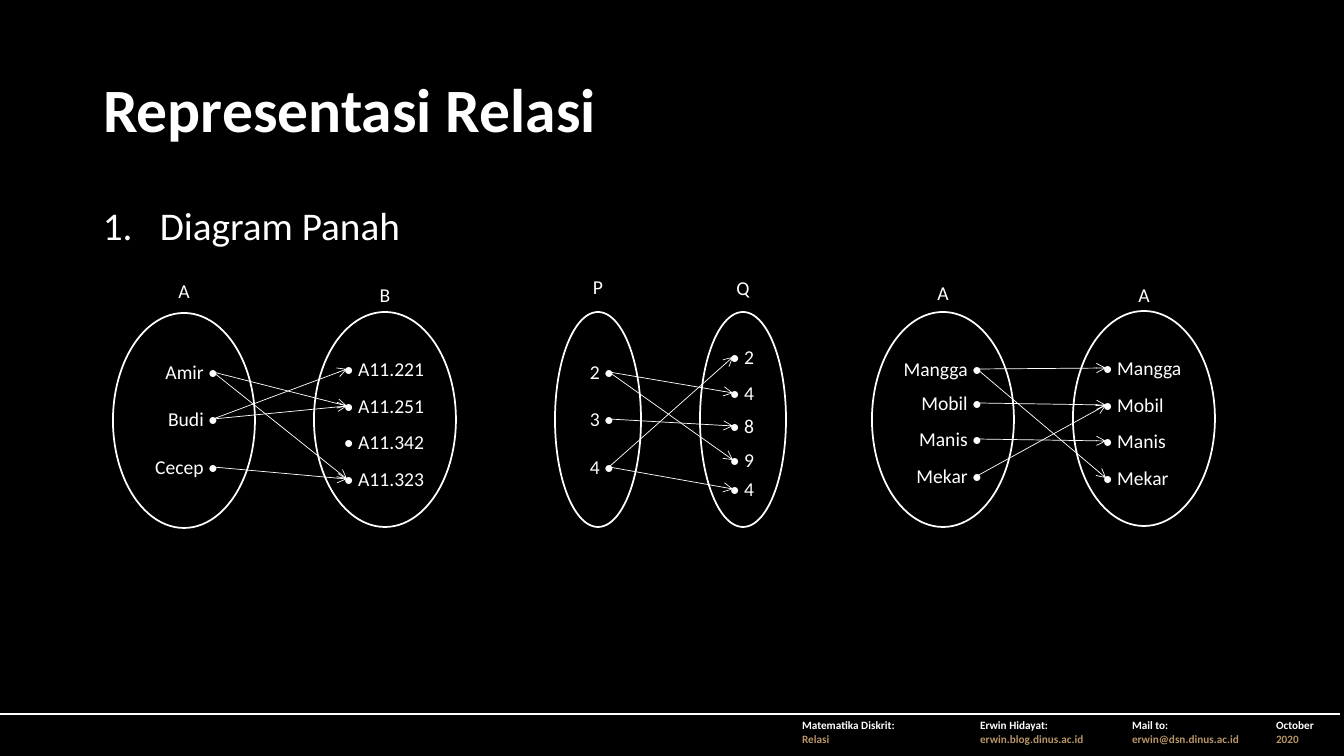
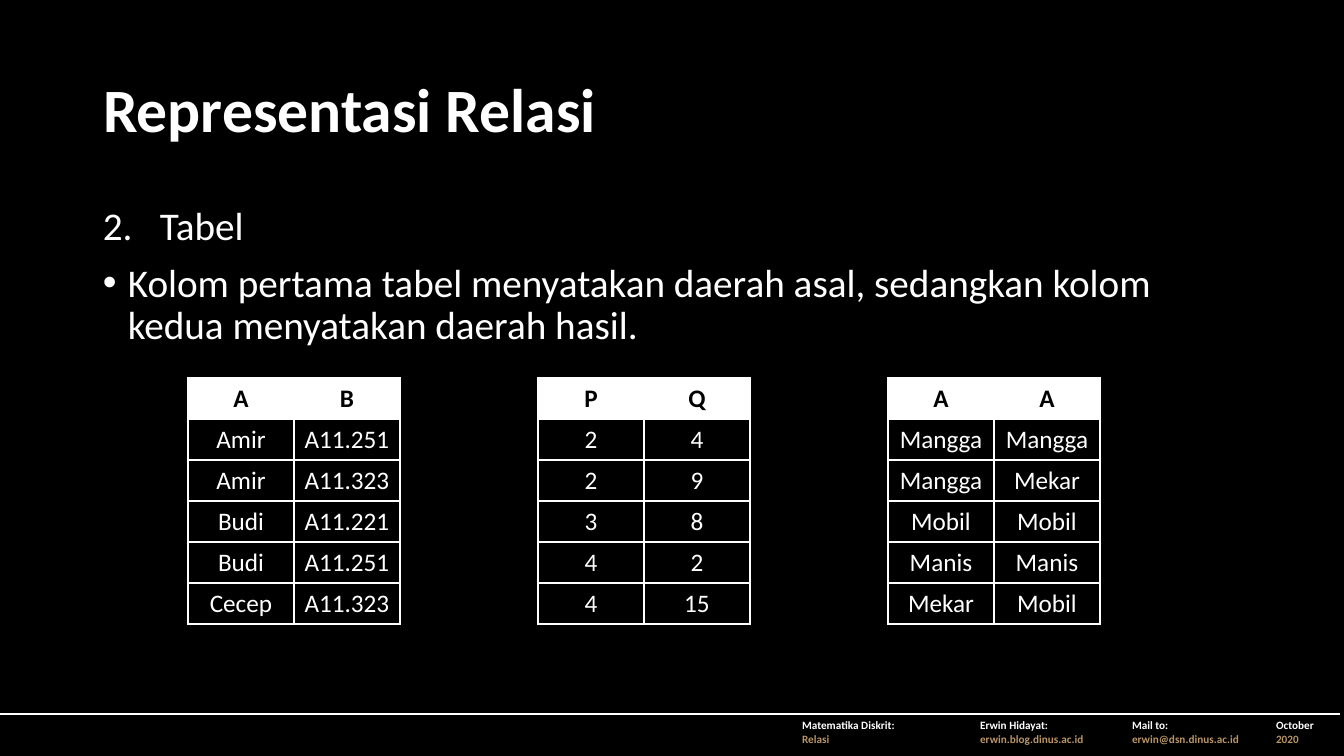
from dataclasses import dataclass
from typing import Any

from lxml.etree import SubElement
from pptx import Presentation
from pptx.dml.color import RGBColor
from pptx.enum.shapes import MSO_CONNECTOR, MSO_SHAPE
from pptx.enum.text import MSO_ANCHOR, MSO_AUTO_SIZE, PP_ALIGN
from pptx.oxml.ns import qn
from pptx.util import Emu, Pt

WIDTH, HEIGHT = 1344, 756
SCALE = 12192000 / WIDTH
COLORS = {"black": "000000", "white": "FFFFFF", "gold": "BA9667"}
FONT = "Calibri"
PLAIN_TABLE_STYLE = "{2D5ABB26-0587-4C30-8999-92F81FD0307C}"
TITLE = "Representasi Relasi"
FOOTER_COLUMNS = (792, 178, 152, 144, 74)
FOOTER = (
    ("Matematika Diskrit:", "Relasi"),
    ("Erwin Hidayat:", "erwin.blog.dinus.ac.id"),
    ("Mail to:", "erwin@dsn.dinus.ac.id"),
    ("October", "2020"),
)
ITEM_HEIGHT = 34
LABEL_WIDTH = 46
OVAL_HEIGHT = 215
TABLE_LEFT, TABLE_TOP, TABLE_PITCH = 188, 378, 350
CELL_WIDTH, CELL_HEIGHT = 106, 41


@dataclass(frozen=True)
class Domain:
    label: str
    label_top: int
    oval_left: int
    oval_top: int
    items_left: int
    items_width: int
    items: tuple[tuple[str, int], ...]


@dataclass(frozen=True)
class ArrowDiagram:
    oval_width: int
    source: Domain
    target: Domain
    arrows: tuple[tuple[int, int], ...]


@dataclass(frozen=True)
class ListItem:
    text: str
    indent: int
    number: int = 0


DIAGRAMS = (
    ArrowDiagram(
        142,
        Domain("A", 274, 113, 313, 125, 103, (("Amir", 355), ("Budi", 402), ("Cecep", 450))),
        Domain("B", 278, 314, 312, 334, 103,
               (("A11.221", 352), ("A11.251", 389), ("A11.342", 425), ("A11.323", 462))),
        ((0, 1), (0, 3), (1, 0), (1, 1), (2, 3)),
    ),
    ArrowDiagram(
        86,
        Domain("P", 270, 555, 312, 569, 55, (("2", 355), ("3", 402), ("4", 450))),
        Domain("Q", 271, 700, 312, 720, 103,
               (("2", 340), ("4", 376), ("8", 409), ("9", 443), ("4", 472))),
        ((0, 1), (0, 3), (2, 0), (1, 2), (2, 4)),
    ),
    ArrowDiagram(
        142,
        Domain("A", 276, 872, 312, 889, 103,
               (("Mangga", 352), ("Mobil", 386), ("Manis", 422), ("Mekar", 459))),
        Domain("A", 278, 1073, 311, 1093, 103,
               (("Mangga", 351), ("Mobil", 388), ("Manis", 424), ("Mekar", 461))),
        ((0, 0), (0, 3), (1, 1), (2, 2), (3, 1)),
    ),
)
TABLES = (
    (("A", "B"), ("Amir", "A11.251"), ("Amir", "A11.323"), ("Budi", "A11.221"),
     ("Budi", "A11.251"), ("Cecep", "A11.323")),
    (("P", "Q"), ("2", "4"), ("2", "9"), ("3", "8"), ("4", "2"), ("4", "15")),
    (("A", "A"), ("Mangga", "Mangga"), ("Mangga", "Mekar"), ("Mobil", "Mobil"),
     ("Manis", "Manis"), ("Mekar", "Mobil")),
)


def px(length: int) -> Emu:
    return Emu(round(length * SCALE))


def rgb(name: str) -> RGBColor:
    return RGBColor.from_string(COLORS[name])


def write_text(paragraph: Any, text: str, *, size: int, color: str = "white", bold: bool = False,
               align: PP_ALIGN = PP_ALIGN.LEFT, line_spacing: float = 1.0) -> None:
    paragraph.alignment = align
    paragraph.line_spacing = line_spacing
    run = paragraph.add_run()
    run.text = text
    run.font.name = FONT
    run.font.size = Pt(size)
    run.font.bold = bold
    run.font.color.rgb = rgb(color)


def add_text_frame(shapes: Any, left: int, top: int, width: int, height: int) -> Any:
    frame = shapes.add_textbox(px(left), px(top), px(width), px(height)).text_frame
    frame.word_wrap = True
    return frame


def add_plain_table(slide: Any, left: int, top: int, columns: tuple[int, ...],
                    row_count: int) -> Any:
    table = slide.shapes.add_table(row_count, len(columns), px(left), px(top),
                                   px(sum(columns)), px(CELL_HEIGHT * row_count)).table
    table.first_row = False
    table.horz_banding = False
    table._tbl.tblPr.find(qn("a:tableStyleId")).text = PLAIN_TABLE_STYLE
    for column, width in zip(table.columns, columns):
        column.width = px(width)
    for row in table.rows:
        row.height = px(CELL_HEIGHT)
    return table


def format_cell(cell: Any, sides: str, fill: str | None = None) -> None:
    properties = cell._tc.get_or_add_tcPr()
    for side in sides:
        line = SubElement(properties, qn(f"a:ln{side}"), w=str(Pt(1)))
        solid = SubElement(line, qn("a:solidFill"))
        SubElement(solid, qn("a:srgbClr"), val=COLORS["white"])
    if fill:
        cell.fill.solid()
        cell.fill.fore_color.rgb = rgb(fill)
    else:
        cell.fill.background()


def add_footer(slide: Any) -> None:
    table = add_plain_table(slide, 0, 714, FOOTER_COLUMNS, 1)
    for cell in table.iter_cells():
        format_cell(cell, "T")
    for index, (heading, detail) in enumerate(FOOTER, start=1):
        frame = table.cell(0, index).text_frame
        write_text(frame.paragraphs[0], heading, size=8, bold=True)
        write_text(frame.add_paragraph(), detail, size=8, color="gold", bold=True)


def add_list(slide: Any, items: tuple[ListItem, ...]) -> None:
    frame = add_text_frame(slide.shapes, 93, 202, 1159, 480)
    for index, item in enumerate(items):
        paragraph = frame.add_paragraph() if index else frame.paragraphs[0]
        properties = paragraph._p.get_or_add_pPr()
        properties.set("marL", str(px(item.indent)))
        properties.set("indent", str(-px(item.indent)))
        if item.number:
            SubElement(properties, qn("a:buAutoNum"), type="arabicPeriod",
                       startAt=str(item.number))
        else:
            SubElement(properties, qn("a:buFont"), typeface="Arial")
            SubElement(properties, qn("a:buChar"), char="•")
        if index:
            paragraph.space_before = Pt(10)
        write_text(paragraph, item.text, size=28, line_spacing=0.9)


def add_content_slide(presentation: Any, items: tuple[ListItem, ...]) -> Any:
    slide = presentation.slides.add_slide(presentation.slide_layouts[5])
    title = slide.shapes.title
    title.left, title.top, title.width, title.height = px(93), px(40), px(1159), px(146)
    frame = title.text_frame
    frame.auto_size = MSO_AUTO_SIZE.NONE
    frame.vertical_anchor = MSO_ANCHOR.MIDDLE
    write_text(frame.paragraphs[0], TITLE, size=44, bold=True, line_spacing=0.9)
    add_footer(slide)
    add_list(slide, items)
    return slide


def add_domain(shapes: Any, domain: Domain, oval_width: int, is_source: bool) -> None:
    oval = shapes.add_shape(MSO_SHAPE.OVAL, px(domain.oval_left), px(domain.oval_top),
                            px(oval_width), px(OVAL_HEIGHT))
    oval.shadow.inherit = False
    oval.fill.background()
    oval.line.color.rgb = rgb("white")
    oval.line.width = Pt(1.25)
    label_left = domain.oval_left + (oval_width - LABEL_WIDTH) // 2
    label = add_text_frame(shapes, label_left, domain.label_top, LABEL_WIDTH, ITEM_HEIGHT)
    write_text(label.paragraphs[0], domain.label, size=14, align=PP_ALIGN.CENTER)
    for name, top in domain.items:
        frame = add_text_frame(shapes, domain.items_left, top, domain.items_width, ITEM_HEIGHT)
        write_text(frame.paragraphs[0], f"{name} •" if is_source else f"• {name}", size=14,
                   align=PP_ALIGN.RIGHT if is_source else PP_ALIGN.LEFT)


def add_arrow(shapes: Any, start: tuple[int, int], end: tuple[int, int]) -> None:
    arrow = shapes.add_connector(MSO_CONNECTOR.STRAIGHT, *map(px, start + end))
    arrow.line.color.rgb = rgb("white")
    arrow.line.width = Pt(0.5)
    SubElement(arrow.line._get_or_add_ln(), qn("a:tailEnd"), type="arrow")
    SubElement(arrow._element.spPr, qn("a:effectLst"))


def add_diagram(slide: Any, diagram: ArrowDiagram) -> None:
    shapes = slide.shapes.add_group_shape().shapes
    source, target = diagram.source, diagram.target
    add_domain(shapes, source, diagram.oval_width, True)
    add_domain(shapes, target, diagram.oval_width, False)
    start_left = source.items_left + source.items_width - 15
    end_left = target.items_left + 13
    middle = ITEM_HEIGHT // 2
    for source_index, target_index in diagram.arrows:
        add_arrow(shapes, (start_left, source.items[source_index][1] + middle),
                  (end_left, target.items[target_index][1] + middle))


def add_relation_table(slide: Any, left: int, rows: tuple[tuple[str, str], ...]) -> None:
    table = add_plain_table(slide, left, TABLE_TOP, (CELL_WIDTH, CELL_WIDTH), len(rows))
    table.first_row = True
    for row_index, row in enumerate(rows):
        is_header = row_index == 0
        for column_index, text in enumerate(row):
            cell = table.cell(row_index, column_index)
            format_cell(cell, "LRTB", "white" if is_header else None)
            write_text(cell.text_frame.paragraphs[0], text, size=18, bold=is_header,
                       color="black" if is_header else "white", align=PP_ALIGN.CENTER)


def main() -> None:
    presentation = Presentation()
    presentation.slide_width, presentation.slide_height = px(WIDTH), px(HEIGHT)
    background = presentation.slide_master.background.fill
    background.solid()
    background.fore_color.rgb = rgb("black")

    diagram_slide = add_content_slide(presentation, (ListItem("Diagram Panah", 57, 1),))
    for diagram in DIAGRAMS:
        add_diagram(diagram_slide, diagram)

    table_slide = add_content_slide(presentation, (
        ListItem("Tabel", 57, 2),
        ListItem("Kolom pertama tabel menyatakan daerah asal, sedangkan kolom kedua "
                 "menyatakan daerah hasil.", 25),
    ))
    for index, rows in enumerate(TABLES):
        add_relation_table(table_slide, TABLE_LEFT + index * TABLE_PITCH, rows)
    presentation.save("out.pptx")


if __name__ == "__main__":
    main()
